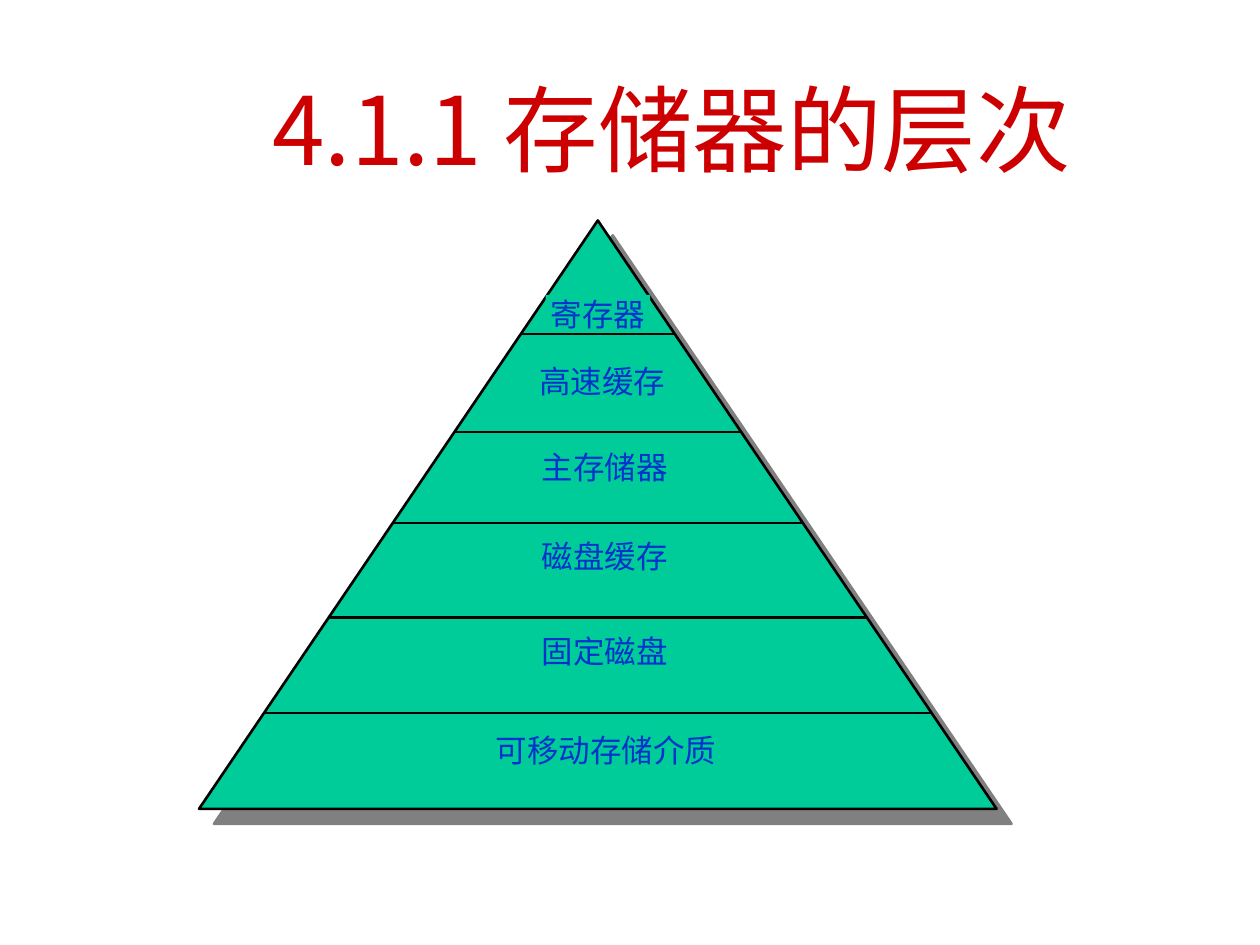
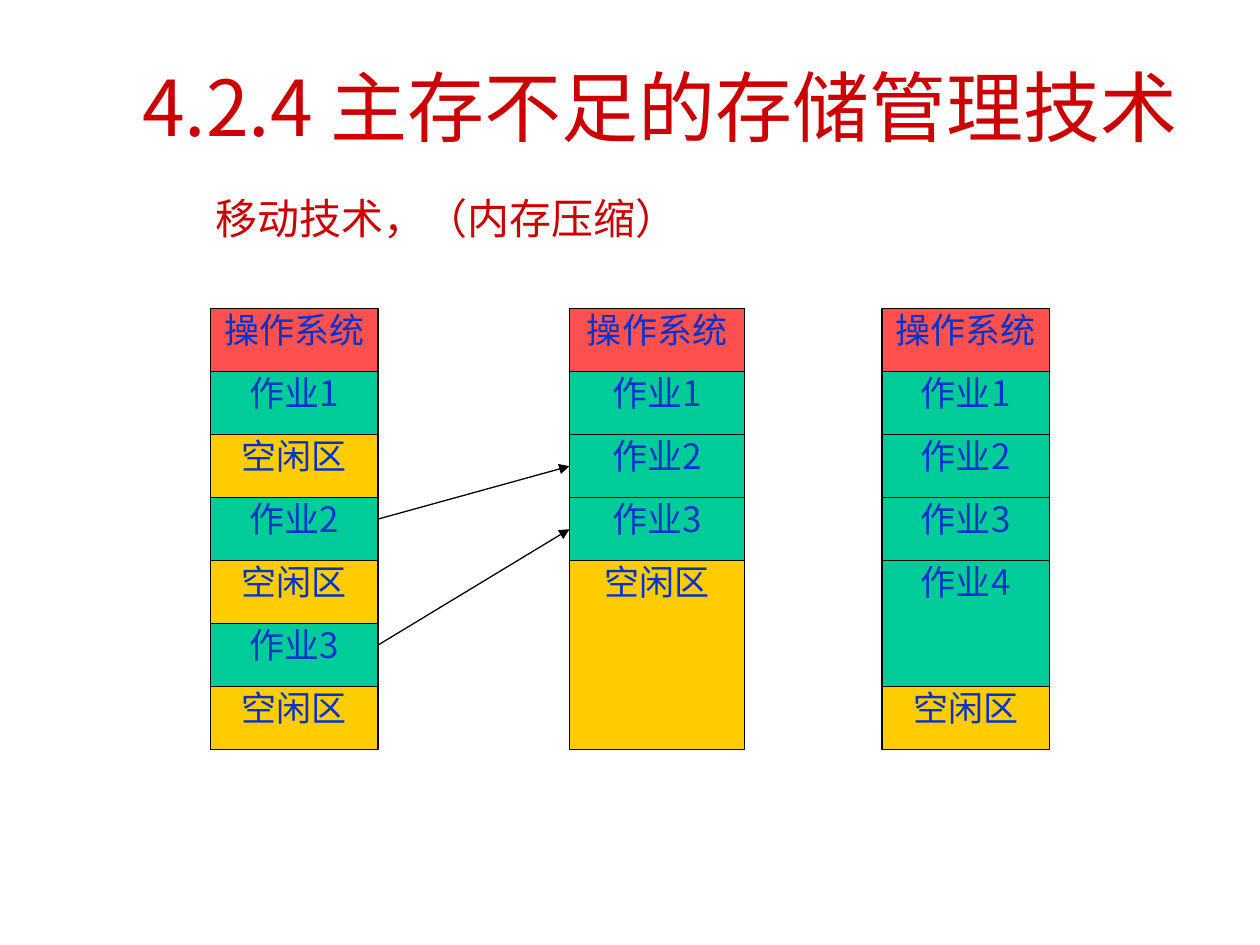
from lxml import etree
from pptx import Presentation
from pptx.dml.color import RGBColor
from pptx.enum.shapes import MSO_CONNECTOR as Connector, MSO_SHAPE as Shape
from pptx.enum.text import MSO_ANCHOR as Anchor, PP_ALIGN as Align
from pptx.oxml.ns import qn
from pptx.util import Inches, Pt

FONT = "Noto Sans CJK JP"
RED = RGBColor(0xCC, 0x00, 0x00)
BLUE = RGBColor(0x00, 0x33, 0xCC)
GREEN = RGBColor(0x00, 0xCC, 0x99)
CORAL = RGBColor(0xFF, 0x50, 0x50)
YELLOW = RGBColor(0xFF, 0xCC, 0x00)
BLACK = RGBColor(0x00, 0x00, 0x00)


def add_text(slide, text, left, top, width, height, size, color=BLUE,
             fill=None, line=None, align=Align.CENTER, anchor=Anchor.TOP):
    """Add a text box, or a rectangle without margins when a fill is given."""
    place = [Inches(value) for value in (left, top, width, height)]
    if fill is None:
        shape = slide.shapes.add_textbox(*place)
    else:
        shape = slide.shapes.add_shape(Shape.RECTANGLE, *place)
        shape.shadow.inherit = False
        shape.fill.solid()
        shape.fill.fore_color.rgb = fill
        if line:
            shape.line.color.rgb = BLACK
            shape.line.width = Pt(line)
        else:
            shape.line.fill.background()
    frame = shape.text_frame
    if fill is not None:
        frame.margin_left = frame.margin_right = 0
        frame.margin_top = frame.margin_bottom = 0
    frame.word_wrap = True
    frame.vertical_anchor = anchor
    paragraph = frame.paragraphs[0]
    paragraph.alignment = align
    run = paragraph.add_run()
    run.text = text
    run.font.size = Pt(size)
    run.font.name = FONT
    run.font.color.rgb = color
    east_asian = etree.SubElement(run.font._element, qn("a:ea"))
    east_asian.set("typeface", FONT)


def add_line(slide, start, end, width, arrow=False):
    connector = slide.shapes.add_connector(
        Connector.STRAIGHT, *[Inches(value) for value in (*start, *end)])
    connector.line.color.rgb = BLACK
    connector.line.width = Pt(width)
    if arrow:
        tail = etree.SubElement(connector.line._get_or_add_ln(), qn("a:tailEnd"))
        tail.set("type", "triangle")
    etree.SubElement(connector._element.spPr, qn("a:effectLst"))


presentation = Presentation()
presentation.slide_width = Inches(10)
presentation.slide_height = Inches(7.5)
blank = presentation.slide_layouts[6]

# Slide 1: pyramid of storage levels
slide = presentation.slides.add_slide(blank)
add_text(slide, "4.1.1 存储器的层次", 1.08, 0.39, 8.5, 1.25, 54,
         color=RED, anchor=Anchor.MIDDLE)

LEFT, TOP, WIDTH, HEIGHT = 1.58, 1.75, 6.33, 4.67
pyramid = slide.shapes.add_shape(
    Shape.ISOSCELES_TRIANGLE, Inches(LEFT), Inches(TOP), Inches(WIDTH), Inches(HEIGHT))
pyramid.fill.solid()
pyramid.fill.fore_color.rgb = GREEN
pyramid.line.color.rgb = BLACK
pyramid.line.width = Pt(1.5)
pyramid.shadow.inherit = False
effects = pyramid._element.spPr.find(qn("a:effectLst"))
shadow = etree.SubElement(effects, qn("a:outerShdw"), blurRad="0",
                          dist=str(Pt(12.1)), dir=str(45 * 60000),
                          algn="ctr", rotWithShape="0")
etree.SubElement(shadow, qn("a:srgbClr"), val="808080")

# name, label left, top, width, height, y of the line below
levels = [
    ("寄存器", 4.33, 2.34, 0.83, 0.39, 2.65),
    ("高速缓存", 4.22, 2.87, 1.12, 0.41, 3.43),
    ("主存储器", 4.24, 3.56, 1.12, 0.56, 4.15),
    ("磁盘缓存", 4.24, 4.26, 1.12, 0.56, 4.9),
    ("固定磁盘", 4.24, 5.02, 1.12, 0.56, 5.66),
    ("可移动存储介质", 3.85, 5.8, 1.92, 0.56, None),
]
apex = LEFT + WIDTH / 2
for name, left, top, width, height, border in levels:
    add_text(slide, name, left, top, width, height, 18, fill=GREEN)
    if border:
        reach = (border - TOP) / HEIGHT * WIDTH / 2
        add_line(slide, (apex - reach, border), (apex + reach, border), 1.5)

# Slide 2: memory before compaction, after it, and with a new job
slide = presentation.slides.add_slide(blank)
add_text(slide, "4.2.4 主存不足的存储管理技术", 0.75, 0.21, 8.98, 1.25, 44,
         color=RED, anchor=Anchor.MIDDLE)

UNIT = 0.5
MEMORY_TOP = 2.45
SYSTEM, FREE = "操作系统", "空闲区"
block_colors = {SYSTEM: CORAL, FREE: YELLOW}
# left, width, blocks as (name, height in units)
memories = [
    (1.67, 1.33, [(SYSTEM, 1), ("作业1", 1), (FREE, 1), ("作业2", 1),
                  (FREE, 1), ("作业3", 1), (FREE, 1)]),
    (4.52, 1.39, [(SYSTEM, 1), ("作业1", 1), ("作业2", 1), ("作业3", 1), (FREE, 3)]),
    (7, 1.33, [(SYSTEM, 1), ("作业1", 1), ("作业2", 1), ("作业3", 1),
               ("作业4", 2), (FREE, 1)]),
]
for left, width, blocks in memories:
    top = MEMORY_TOP
    for name, units in blocks:
        add_text(slide, name, left, top, width, units * UNIT, 20,
                 fill=block_colors.get(name, GREEN), line=0.75)
        top += units * UNIT

for start_y, end_y in [(4.12, 3.7), (5.12, 4.2)]:
    add_line(slide, (3, start_y), (4.52, end_y), 0.75, arrow=True)

add_text(slide, "移动技术，（内存压缩）", 1.61, 1.48, 4.09, 0.9, 24,
         color=RED, align=Align.LEFT)

presentation.save("out.pptx")
